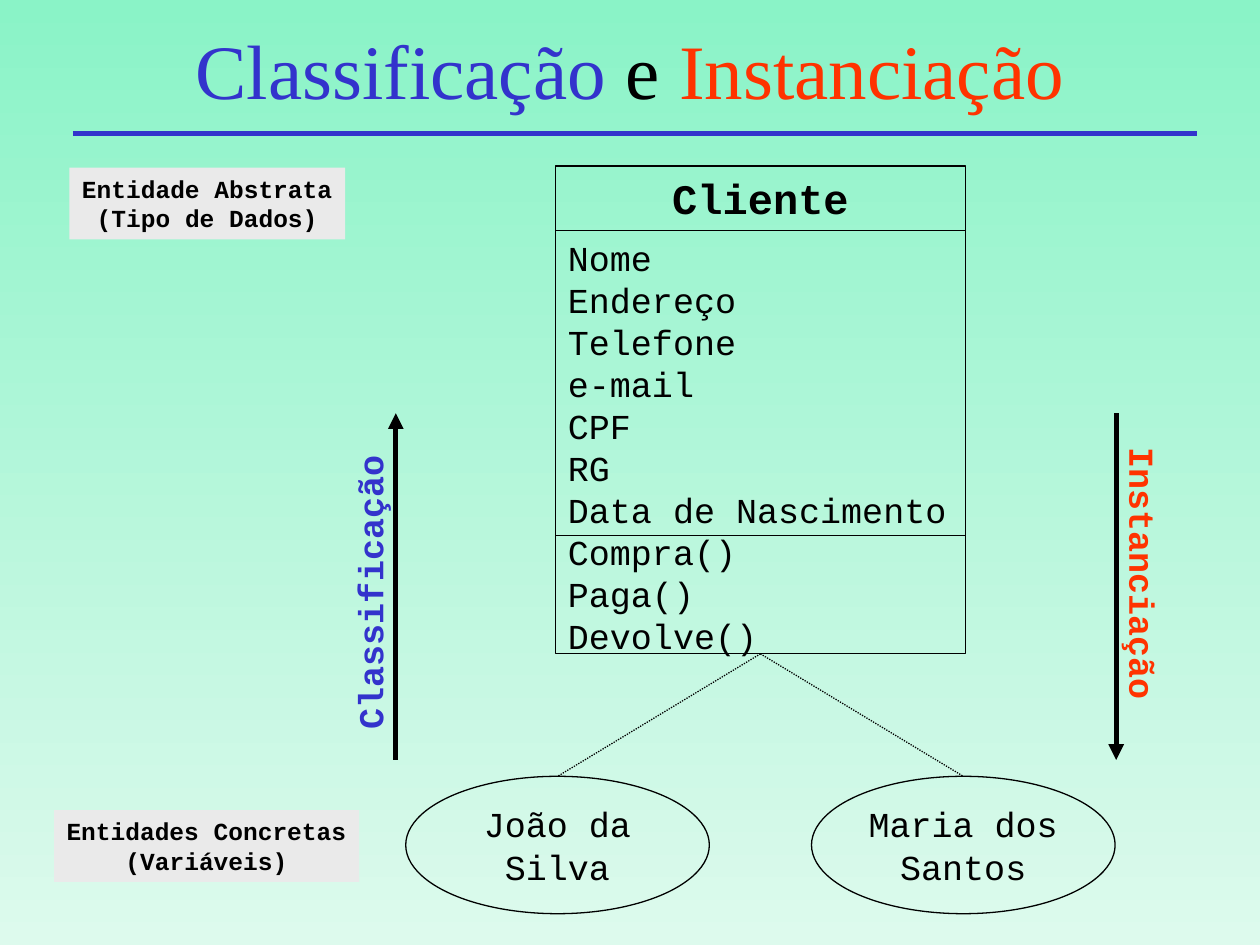
"""Build the slide on classification and instantiation of a Cliente class."""
from lxml import etree
from pptx import Presentation
from pptx import util as u
from pptx.dml.color import RGBColor
from pptx.enum import dml, shapes, text
from pptx.oxml.ns import qn

BLUE = RGBColor(0x33, 0x33, 0xCC)
RED = RGBColor(0xFF, 0x33, 0x00)
BLACK = RGBColor(0x00, 0x00, 0x00)
GREY = RGBColor(0xEA, 0xEA, 0xEA)
MINT = RGBColor(0x8A, 0xF3, 0xC7)
PALE = RGBColor(0xDD, 0xFA, 0xED)
LEFT, MID = text.PP_ALIGN.LEFT, text.PP_ALIGN.CENTER
TOP, HALF = text.MSO_ANCHOR.TOP, text.MSO_ANCHOR.MIDDLE
RECT, OVAL = shapes.MSO_SHAPE.RECTANGLE, shapes.MSO_SHAPE.OVAL

deck = Presentation()
deck.slide_width, deck.slide_height = u.Cm(25.4), u.Cm(19.05)
slide = deck.slides.add_slide(deck.slide_layouts[6])
back = slide.background.fill
back.gradient()
back.gradient_angle = 270
for stop, tint, place in zip(back.gradient_stops, (MINT, PALE), (0, 1)):
    stop.color.rgb = tint
    stop.position = place


def add_box(kind, place, lines, size, align=MID, bold=False, color=BLACK,
            anchor=TOP, fill=None, edge=True, grow=False, wrap=True):
    spot = [u.Cm(n) for n in place]
    if kind is None:
        box = slide.shapes.add_textbox(*spot)
    else:
        box = slide.shapes.add_shape(kind, *spot)
        box.shadow.inherit = False
        if fill is None:
            box.fill.background()
        else:
            box.fill.solid()
            box.fill.fore_color.rgb = fill
        if edge:
            box.line.color.rgb = BLACK
            box.line.width = u.Pt(0.75)
        else:
            box.line.fill.background()
    frame = box.text_frame
    frame.word_wrap = wrap
    frame.vertical_anchor = anchor
    if grow:
        frame.auto_size = text.MSO_AUTO_SIZE.SHAPE_TO_FIT_TEXT
    frame.text = "\n".join(lines)
    for para in frame.paragraphs:
        para.alignment = align
        para.font.name = "Courier New"
        para.font.size = u.Pt(size)
        para.font.bold = bold
        para.font.color.rgb = color
    return box


def add_line(x1, y1, x2, y2, width=0.75, color=BLACK):
    line = slide.shapes.add_connector(
        shapes.MSO_CONNECTOR.STRAIGHT, *[u.Cm(n) for n in (x1, y1, x2, y2)])
    line.line.color.rgb = color
    line.line.width = u.Pt(width)
    etree.SubElement(line._element.spPr, qn("a:effectLst"))
    return line


add_line(1.47, 2.69, 24.13, 2.69, 3, BLUE)

title = slide.shapes.add_textbox(u.Cm(1.9), u.Cm(0.43), u.Cm(21.6), u.Cm(1.9))
title.text_frame.word_wrap = True
title.text_frame.vertical_anchor = HALF
para = title.text_frame.paragraphs[0]
para.alignment = MID
para.font.name = "Times New Roman"
para.font.size = u.Pt(44)
for word, tint in (("Classificação", BLUE), (" e ", BLACK), ("Instanciação", RED)):
    run = para.add_run()
    run.text = word
    run.font.color.rgb = tint

add_box(RECT, (11.2, 3.35, 8.26, 1.3), ["Cliente"], 24, bold=True)
body = add_box(RECT, (11.2, 4.65, 8.26, 8.53),
               ["Nome", "Endereço", "Telefone", "e-mail", "CPF", "RG",
                "Data de Nascimento", "Compra()", "Paga()", "Devolve()"],
               20, align=LEFT)
add_line(11.2, 10.8, 19.46, 10.8)

for left, name in ((8.18, "João da Silva"), (16.36, "Maria dos Santos")):
    oval = add_box(OVAL, (left, 15.65, 6.12, 2.77), [name], 20,
                   anchor=HALF, grow=True)
    link = add_line(15.33, 13.18, left + 3.06, 15.65)
    link.line.dash_style = dml.MSO_LINE.ROUND_DOT
    link.begin_connect(body, 2)
    link.end_connect(oval, 0)

for x, end, name, tint, place, turn in (
        (7.98, "a:tailEnd", "Classificação", BLUE, (4.45, 11.38, 6.02, 1.12), 270),
        (22.5, "a:headEnd", "Instanciação", RED, (20.24, 11, 5.59, 1.12), 90)):
    arrow = add_line(x, 15.32, x, 8.33, 3)
    etree.SubElement(arrow.line._get_or_add_ln(), qn(end), type="triangle")
    label = add_box(None, place, [name], 20, align=LEFT, bold=True,
                    color=tint, grow=True, wrap=False)
    label.rotation = turn

for place, lines in (
        ((1.4, 3.38, 5.56, 1.45), ["Entidade Abstrata", "(Tipo de Dados)"]),
        ((1.09, 16.33, 6.15, 1.45), ["Entidades Concretas", "(Variáveis)"])):
    add_box(RECT, place, lines, 14, bold=True, fill=GREY, edge=False,
            grow=True, wrap=False)

deck.save("out.pptx")
